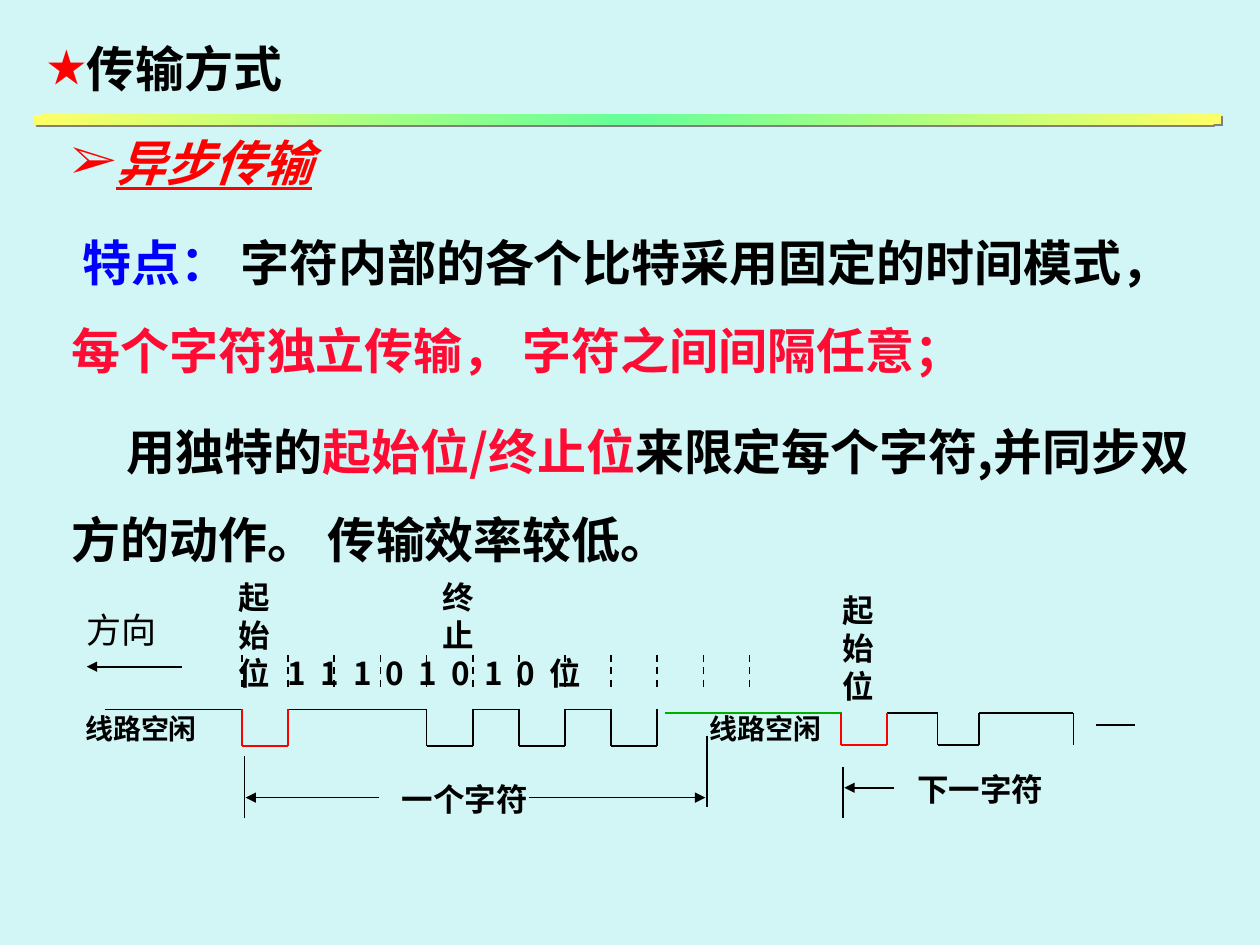
from lxml import etree
from pptx import Presentation
from pptx.dml.color import RGBColor
from pptx.enum.dml import MSO_LINE
from pptx.enum.lang import MSO_LANGUAGE_ID
from pptx.enum.shapes import MSO_CONNECTOR, MSO_SHAPE
from pptx.enum.text import MSO_AUTO_SIZE
from pptx.oxml import parse_xml
from pptx.oxml.ns import nsdecls, qn
from pptx.util import Cm, Pt

STRAIGHT, RECTANGLE = MSO_CONNECTOR.STRAIGHT, MSO_SHAPE.RECTANGLE
DASH, FIT, CHINESE = MSO_LINE.DASH, MSO_AUTO_SIZE.SHAPE_TO_FIT_TEXT, MSO_LANGUAGE_ID.SIMPLIFIED_CHINESE

BLACK = RGBColor(0, 0, 0)
RED = RGBColor(0xFF, 0, 0)
CRIMSON = RGBColor(0xFE, 0x0C, 0x34)
BLUE = RGBColor(0, 0, 0xFF)
GREEN = RGBColor(0, 0xAE, 0)
YELLOW = RGBColor(0xFF, 0xFF, 0x66)
MINT = RGBColor(0x66, 0xFF, 0x99)
GRAY = RGBColor(0x80, 0x80, 0x80)
PALE_CYAN = RGBColor(0xD2, 0xF6, 0xF5)

SANS, SERIF = "Noto Sans CJK SC", "Times New Roman"


class SlideBuilder:
    """Holds the slide and its style; positions are in centimetres."""

    def __init__(self, slide):
        self.slide = slide
        self.format = {"name": SANS, "size": Pt(18), "bold": True, "language_id": CHINESE}

    def line(self, x1, y1, x2, y2, color=BLACK, dash=None, arrow=False):
        wire = self.slide.shapes.add_connector(STRAIGHT, Cm(x1), Cm(y1), Cm(x2), Cm(y2))
        wire.line.color.rgb = color
        wire.line.width = Pt(1)
        if dash:
            wire.line.dash_style = dash
        if arrow:
            etree.SubElement(wire.line._get_or_add_ln(), qn("a:tailEnd"), type="triangle")
        etree.SubElement(wire._element.spPr, qn("a:effectLst"))

    def wave(self, edges, levels, high, low):
        """Draw a bit signal whose first cell, the start bit, is red."""
        for i, level in enumerate(levels):
            color = BLACK if i else RED
            y = high if level == "1" else low
            self.line(edges[i], y, edges[i + 1], y, color)
            if i == 0 or level != levels[i - 1]:
                self.line(edges[i], high, edges[i], low, RED if i < 2 else BLACK)
        self.line(edges[-1], high, edges[-1], low)

    def text(self, left, top, width, height, paragraphs, wrap=False, tabs=(), **style):
        """Add a box; each paragraph is a string or a list of (text, format) runs."""
        frame = self.slide.shapes.add_textbox(Cm(left), Cm(top), Cm(width), Cm(height)).text_frame
        frame.word_wrap = wrap
        frame.auto_size = FIT
        for i, runs in enumerate(paragraphs):
            paragraph = frame.paragraphs[0] if i == 0 else frame.add_paragraph()
            if tabs:
                self.tabs(paragraph, tabs[i])
            if isinstance(runs, str):
                runs = [(runs, {})]
            for words, changes in runs:
                run = paragraph.add_run()
                run.text = words
                self.apply(run.font, {**self.format, **style, **changes})
        return frame.paragraphs

    def apply(self, font, values):
        font.color.rgb = BLACK
        for key, value in values.items():
            if key == "color":
                font.color.rgb = value
            else:
                setattr(font, key, value)
        etree.SubElement(font._element, qn("a:ea"), typeface=SANS)

    def tabs(self, paragraph, stops):
        properties = paragraph._p.get_or_add_pPr()
        tab_list = etree.SubElement(properties, qn("a:tabLst"))
        for stop in stops:
            etree.SubElement(tab_list, qn("a:tab"), pos=str(Cm(stop)), algn="l")

    def bullet(self, paragraph, mark):
        properties = paragraph._p.get_or_add_pPr()
        properties.set("marL", "0")
        properties.set("indent", "0")
        color = etree.SubElement(properties, qn("a:buClr"))
        etree.SubElement(color, qn("a:srgbClr"), val=str(RED))
        etree.SubElement(properties, qn("a:buFont"), typeface=SERIF)
        etree.SubElement(properties, qn("a:buChar"), char=mark)

    def gradient_bar(self, left, top, width, height):
        bar = self.slide.shapes.add_shape(RECTANGLE, Cm(left), Cm(top), Cm(width), Cm(height))
        bar.line.fill.background()
        stops = "".join(
            f'<a:gs pos="{pos * 1000}"><a:srgbClr val="{color}"/></a:gs>'
            for pos, color in ((0, YELLOW), (50, MINT), (100, YELLOW))
        )
        properties = bar._element.spPr
        properties.insert(2, parse_xml(
            f'<a:gradFill {nsdecls("a")} rotWithShape="1"><a:gsLst>{stops}</a:gsLst>'
            '<a:lin ang="13500000" scaled="1"/></a:gradFill>'))
        properties.append(parse_xml(
            f'<a:effectLst {nsdecls("a")}><a:outerShdw dist="{Pt(1.4)}" dir="2700000" algn="ctr">'
            f'<a:srgbClr val="{GRAY}"/></a:outerShdw></a:effectLst>'))


def draw_frame_signal(page):
    pitch, first = 0.93, 4.88
    edges = [first + pitch * i for i in range(12)]
    bit_tabs = [1 + 0.66 * i for i in range(9)]
    bits = "\t".join("11101010")
    page.text(4.55, 11.53, 10.74, 2.54, ["起\t终", "始\t止", f"位\t{bits}\t位"],
              wrap=True, tabs=[[4.13], [4.13], bit_tabs])
    for x in edges:
        page.line(x, 13.21, x, 13.92, dash=DASH)
    page.line(2.11, 14.3, first, 14.3)
    page.wave(edges[:10], "011101010", 14.3, 15.04)
    page.line(13.41, 14.38, 16.97, 14.38, GREEN)
    for left in (1.47, 14.05):
        page.text(left, 14.22, 2.77, 0.91, ["线路空闲"], size=Pt(16))
    page.line(4.93, 15.24, 4.93, 16.48)
    page.line(14.25, 14.83, 14.25, 16.26)
    page.line(7.65, 16.08, 4.95, 16.08, arrow=True)
    page.line(10.67, 16.08, 14.22, 16.08, arrow=True)
    page.text(7.85, 15.6, 3.05, 1.02, ["一个字符"], name=SERIF)


def draw_next_signal(page):
    page.text(16.74, 11.79, 1.14, 2.54, ["起", "始", "位"], name=SERIF)
    page.wave([16.95, 17.88, 18.9, 19.74, 21.64], "0101", 14.38, 15.02)
    page.line(22.1, 14.61, 22.89, 14.61)
    page.line(16.99, 15.47, 16.99, 16.48)
    page.line(18.03, 15.88, 17.02, 15.88, arrow=True)
    page.text(18.24, 15.39, 3.05, 1.02, ["下一字符"], name=SERIF)


def draw_body(page):
    heading, feature, framing = page.text(1.19, 2.54, 23.52, 10.24, [
        [("异步传输", {"color": RED, "italic": True, "underline": True})],
        [(" 特点：", {"color": BLUE}),
         (" 字符内部的各个比特采用固定的时间模式，", {}),
         ("每个字符独立传输， 字符之间间隔任意；", {"color": CRIMSON})],
        [("用独特的", {}),
         ("起始位/终止位", {"color": CRIMSON}),
         ("来限定每个字符,并同步双方的动作。 传输效率较低。", {})],
    ], wrap=True, size=Pt(28))
    page.bullet(heading, "➢")
    for paragraph in (feature, framing):
        paragraph.line_spacing = 1.5
        paragraph.space_before = Pt(7)
    framing._p.get_or_add_pPr().set("indent", str(Cm(1.12)))


def main():
    deck = Presentation()
    deck.slide_width, deck.slide_height = Cm(25.4), Cm(19.05)
    slide = deck.slides.add_slide(deck.slide_layouts[6])
    slide.background.fill.solid()
    slide.background.fill.fore_color.rgb = PALE_CYAN
    page = SlideBuilder(slide)
    draw_frame_signal(page)
    draw_next_signal(page)
    page.line(3.66, 13.44, 1.75, 13.44, arrow=True)
    page.text(1.5, 12.14, 2.1, 1.12, ["方向"], name=SERIF, size=Pt(20), bold=False)
    draw_body(page)
    page.gradient_bar(0.69, 2.31, 23.93, 0.2)
    title = page.text(0.69, 0.66, 5.79, 1.45, ["传输方式"], size=Pt(28))[0]
    page.bullet(title, "★")
    deck.save("out.pptx")


if __name__ == "__main__":
    main()
